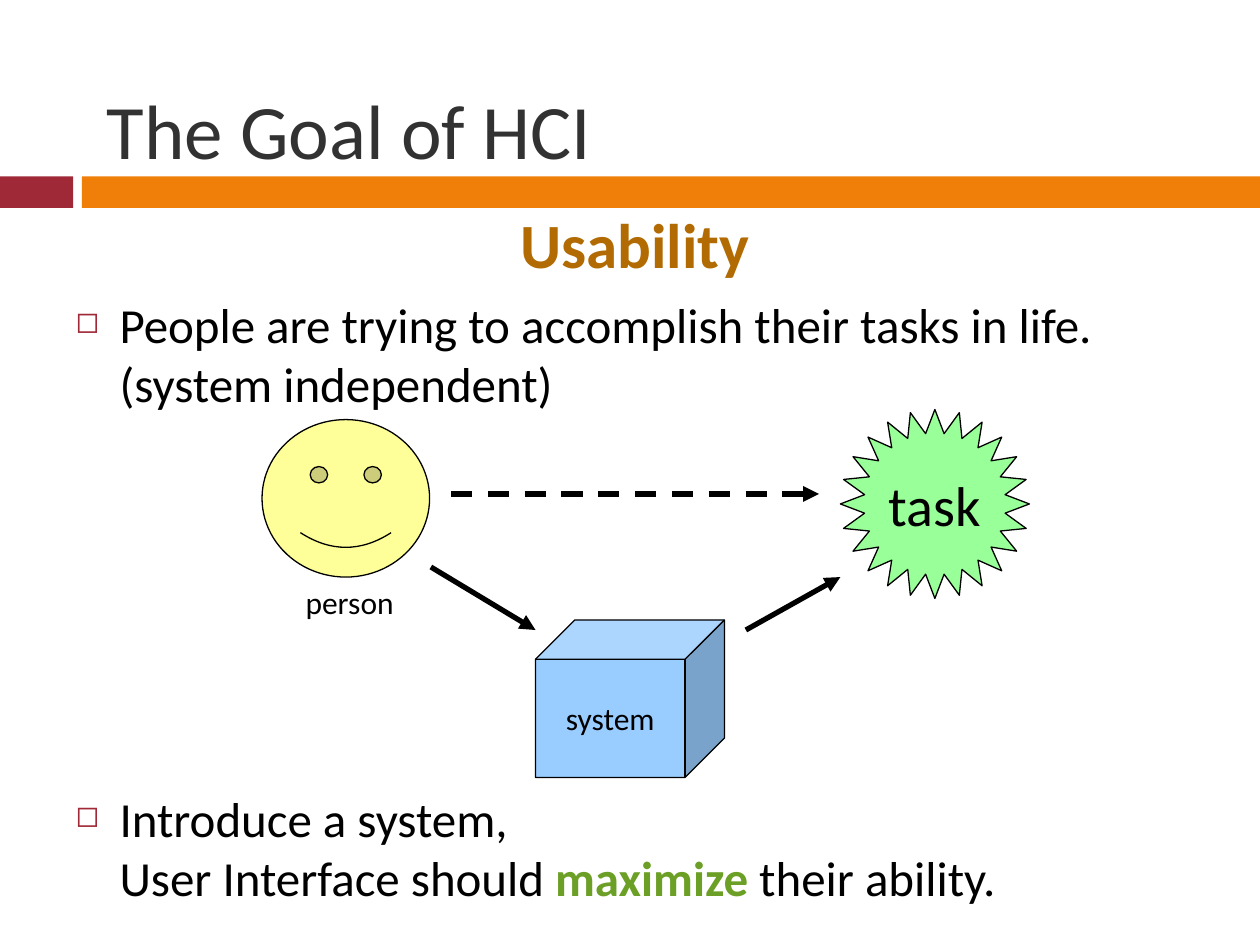
from pptx import Presentation
from pptx.dml.color import RGBColor
from pptx.enum.dml import MSO_LINE
from pptx.enum.shapes import MSO_CONNECTOR, MSO_SHAPE
from pptx.enum.text import MSO_ANCHOR, PP_ALIGN
from pptx.oxml.ns import qn
from pptx.util import Inches, Pt
from lxml.etree import SubElement

BLACK = RGBColor(0, 0, 0)
CHARCOAL = RGBColor(0x32, 0x32, 0x32)
CRIMSON = RGBColor(0x9F, 0x29, 0x36)
ORANGE = RGBColor(0xF0, 0x7F, 0x09)
BROWN = RGBColor(0xB2, 0x6B, 0x02)
LEAF = RGBColor(0x6B, 0x9F, 0x25)
YELLOW = RGBColor(0xFF, 0xFF, 0x99)
MINT = RGBColor(0x99, 0xFF, 0x99)
SKY = RGBColor(0x99, 0xCC, 0xFF)


class SlideBuilder:
    """Holds the style and the current slide, with a method per kind of element."""

    font_name = "Calibri"

    def __init__(self, slide):
        self.slide = slide

    def fill_text(self, frame, runs, size, align=PP_ALIGN.LEFT, anchor=MSO_ANCHOR.TOP, wrap=True):
        frame.word_wrap = wrap
        frame.vertical_anchor = anchor
        paragraph = frame.paragraphs[0]
        paragraph.alignment = align
        for words, color, bold in runs:
            for index, line in enumerate(words.split("\n")):
                if index:
                    paragraph.add_line_break()
                run = paragraph.add_run()
                run.text = line
                run.font.color.rgb = color
                for name, value in {"name": self.font_name, "size": Pt(size), "bold": bold}.items():
                    setattr(run.font, name, value)
        return paragraph

    def text(self, box, runs, size, **layout):
        shape = self.slide.shapes.add_textbox(*map(Inches, box))
        return self.fill_text(shape.text_frame, runs, size, **layout)

    def bullet(self, box, runs, size):
        paragraph = self.text(box, runs, size)
        properties = paragraph._p.get_or_add_pPr()
        properties.set("marL", str(Inches(0.35)))
        properties.set("indent", str(Inches(-0.35)))
        color = SubElement(properties, qn("a:buClr"))
        SubElement(color, qn("a:srgbClr"), val=str(CRIMSON))
        SubElement(properties, qn("a:buSzPct"), val="60000")
        SubElement(properties, qn("a:buChar"), char="◻")

    def shape(self, kind, box, fill, outlined=True, adjustment=None, label=None, size=18):
        shape = self.slide.shapes.add_shape(kind, *map(Inches, box))
        shape.shadow.inherit = False
        shape.fill.solid()
        shape.fill.fore_color.rgb = fill
        if outlined:
            shape.line.color.rgb = BLACK
            shape.line.width = Pt(0.75)
        else:
            shape.line.fill.background()
        if adjustment is not None:
            shape.adjustments[0] = adjustment
        if label:
            self.fill_text(shape.text_frame, [(label, BLACK, False)], size,
                           align=PP_ALIGN.CENTER, anchor=MSO_ANCHOR.MIDDLE, wrap=False)

    def arrow(self, start, end, dash=None):
        connector = self.slide.shapes.add_connector(
            MSO_CONNECTOR.STRAIGHT, *map(Inches, start + end))
        connector.line.color.rgb = BLACK
        for name, value in {"width": Pt(3), "dash_style": dash}.items():
            setattr(connector.line, name, value)
        SubElement(connector.line._get_or_add_ln(), qn("a:tailEnd"), type="triangle")
        SubElement(connector._element.spPr, qn("a:effectLst"))


def main():
    presentation = Presentation()
    presentation.slide_width = Inches(10)
    presentation.slide_height = Inches(7.5)
    builder = SlideBuilder(presentation.slides.add_slide(presentation.slide_layouts[6]))

    builder.shape(MSO_SHAPE.RECTANGLE, (0, 1.4, 0.58, 0.25), CRIMSON, outlined=False)
    builder.shape(MSO_SHAPE.RECTANGLE, (0.65, 1.4, 9.35, 0.25), ORANGE, outlined=False)
    builder.text((0.75, 0.4, 8.5, 1.25), [("The Goal of HCI", CHARCOAL, False)], 44,
                 anchor=MSO_ANCHOR.MIDDLE)
    builder.text((0.5, 1.58, 9.08, 0.7), [("Usability", BROWN, True)], 36,
                 align=PP_ALIGN.CENTER)
    builder.bullet((0.5, 2.29, 9.08, 1.05), [
        ("People are trying to accomplish their tasks in life. (system independent)", BLACK, False),
    ], 28)
    builder.bullet((0.5, 6.21, 9.08, 1.05), [
        ("Introduce a system,\nUser Interface should ", BLACK, False),
        ("maximize", LEAF, True),
        (" their ability.", BLACK, False),
    ], 28)

    builder.shape(MSO_SHAPE.SMILEY_FACE, (2.08, 3.33, 1.33, 1.25), YELLOW, adjustment=0.047)
    builder.shape(MSO_SHAPE.STAR_24_POINT, (6.67, 3.25, 1.5, 1.5), MINT,
                  adjustment=0.375, label="task", size=32)
    builder.arrow((3.58, 3.92), (6.5, 3.92), MSO_LINE.DASH)
    builder.shape(MSO_SHAPE.CUBE, (4.25, 4.92, 1.5, 1.25), SKY, adjustment=0.25, label="system")
    builder.arrow((3.42, 4.5), (4.25, 5))
    builder.arrow((5.92, 5), (6.67, 4.58))
    builder.text((2.23, 4.58, 1.09, 0.5), [("person", BLACK, False)], 18,
                 align=PP_ALIGN.CENTER, wrap=False)

    presentation.save("out.pptx")


if __name__ == "__main__":
    main()
